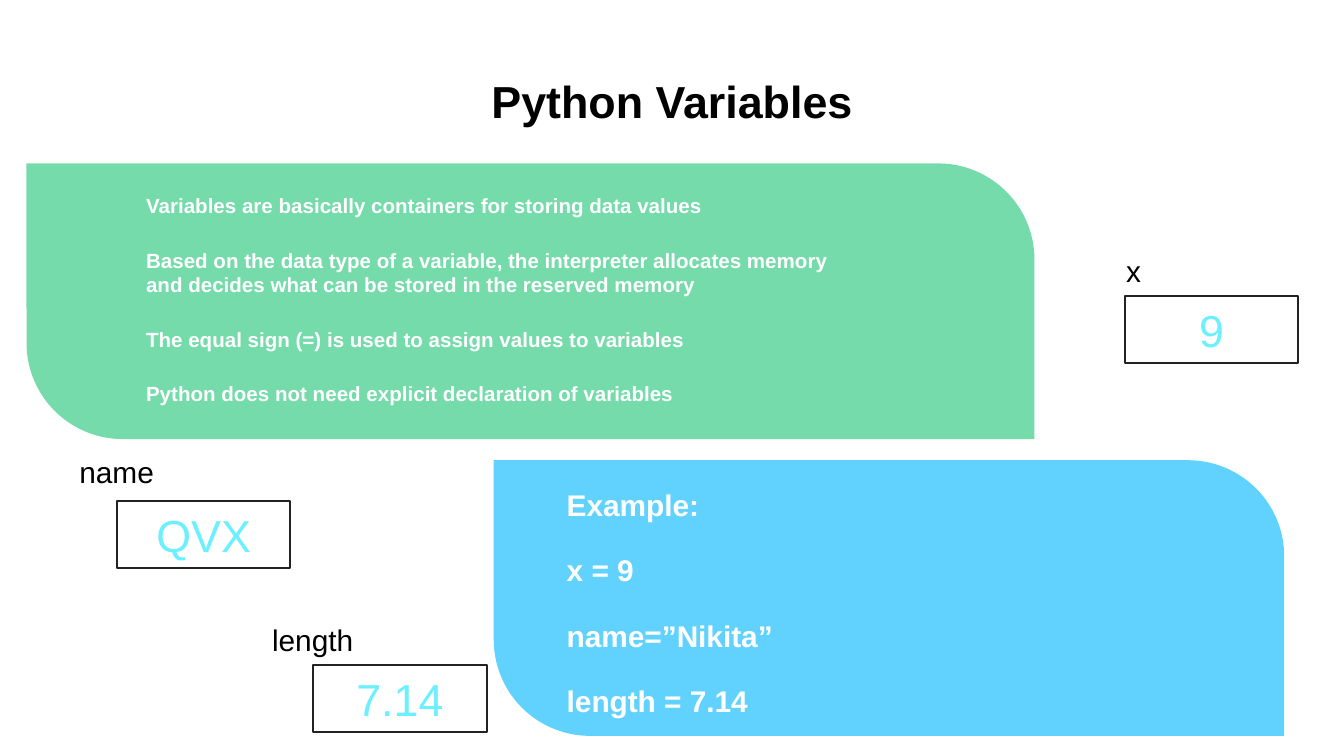
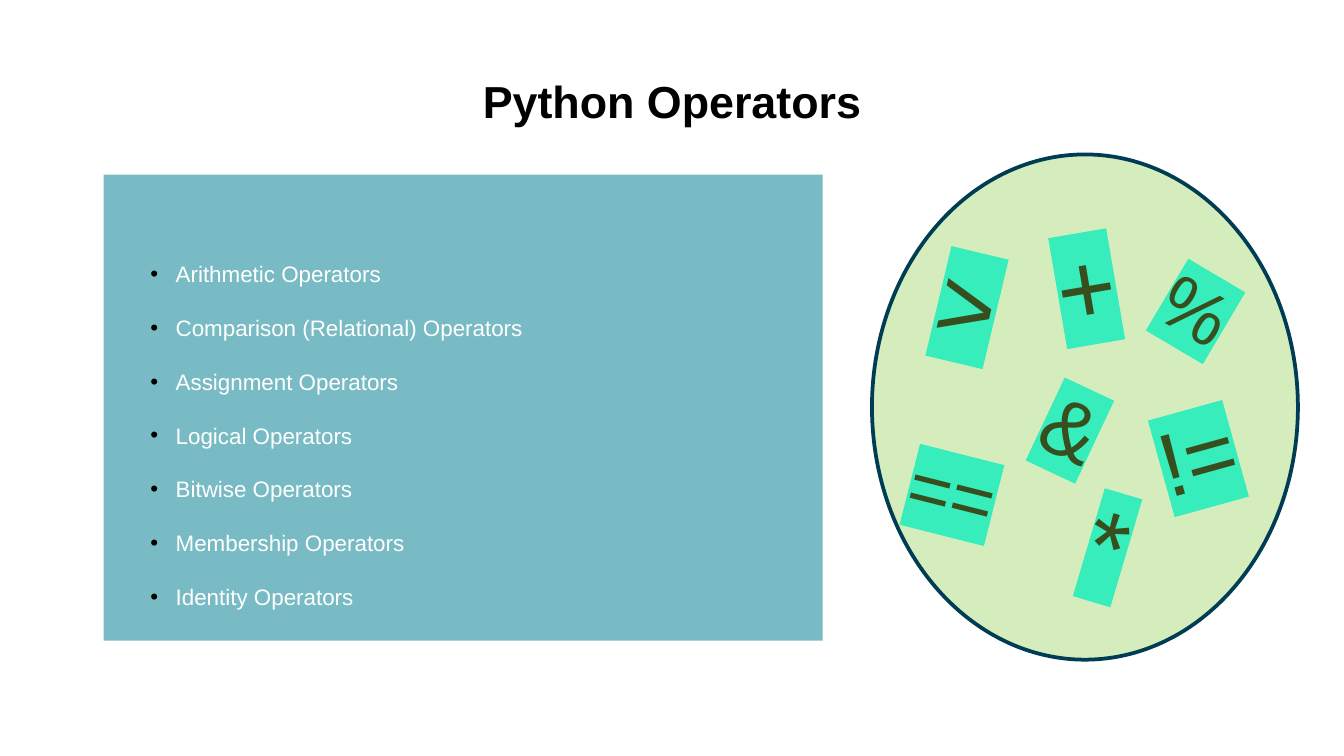
from dataclasses import dataclass

from lxml import etree
from pptx import Presentation
from pptx import util as u
from pptx.dml.color import RGBColor
from pptx.enum import shapes, text
from pptx.oxml import ns


@dataclass(frozen=True)
class Theme:
    font: str = "Arial"
    ink: str = "000000"
    paper: str = "FFFFFF"
    green: str = "76DBAB"
    blue: str = "61D2FE"
    teal: str = "028090"
    lime: str = "92D050"
    navy: str = "003D55"
    frame: str = "222222"
    value: str = "6CEFFF"
    highlight: str = "00FFFF"
    title_size: int = 24
    value_size: int = 24
    label_size: int = 16
    list_size: int = 12


THEME = Theme()

# Places are left, top, width, height in centimetres.
TITLE_PLACE = (1.27, 1.14, 22.86, 1.6)

# Panel place, panel colour, text place, type size, lines
VARIABLE_PANELS = [
    ((0.5, 3.09, 19.05, 5.21), THEME.green, (2.51, 3.4, 13.67, 4.57), 11, [
        "Variables are basically containers for storing data values",
        "Based on the data type of a variable, the interpreter allocates memory "
        "and decides what can be stored in the reserved memory",
        "The equal sign (=) is used to assign values to variables",
        "Python does not need explicit declaration of variables",
    ]),
    ((9.33, 8.7, 14.94, 5.21), THEME.blue, (10.46, 8.94, 13.67, 4.14), 16, [
        "Example:",
        "x = 9",
        "name=”Nikita”",
        "length = 7.14",
    ]),
]

# Name, label place, value, left and top of the value box
VARIABLES = [
    ("length", (4.88, 11.63, 2.06, 0.94), "7.14", (5.92, 12.57)),
    ("x", (21.03, 4.65, 0.79, 0.94), "9", (21.26, 5.59)),
    ("name", (1.24, 8.46, 1.93, 0.94), "QVX", (2.21, 9.47)),
]
VALUE_BOX_SIZE = (3.28, 1.27)

OPERATOR_PANEL = (1.96, 3.3, 13.59, 8.81)
OPERATOR_LIST = (2.59, 6.6, 11.86, 2.74)
OPERATOR_KINDS = [
    "Arithmetic", "Comparison (Relational)", "Assignment", "Logical",
    "Bitwise", "Membership", "Identity",
]

# Symbol, place, rotation in degrees, type size
SYMBOLS = [
    (">", (17.48, 4.45, 1.63, 2.57), 13.4, 54),
    ("+", (19.71, 4.09, 1.63, 2.57), 350.3, 54),
    ("&", (19.48, 7.01, 1.55, 2.13), 25.3, 44),
    ("!=", (21.64, 7.44, 1.98, 2.31), 344.5, 48),
    ("==", (16.92, 8.31, 2.18, 1.96), 14.2, 40),
    ("*", (20.09, 8.99, 1.73, 2.57), 16.5, 54),
    ("%", (21.74, 4.85, 1.78, 1.96), 30.6, 40),
]
SYMBOL_OVAL = (16.48, 2.92, 8.05, 9.55)


def to_cm(place):
    return [u.Cm(value) for value in place]


def add_xml(parent, tag, **attributes):
    return etree.SubElement(parent, ns.qn(tag), attributes)


def add_span(para, words, size, color, bold=False):
    span = para.add_run()
    span.text = words
    span.font.name = THEME.font
    span.font.size = u.Pt(size)
    span.font.bold = bold
    span.font.color.rgb = RGBColor.from_string(color)
    return span


def add_figure(page, preset, place, fill=None, opacity=100, line=None, width=1):
    figure = page.shapes.add_shape(preset, *to_cm(place))
    figure.shadow.inherit = False
    if fill:
        figure.fill.solid()
        figure.fill.fore_color.rgb = RGBColor.from_string(fill)
        if opacity < 100:
            color = figure.element.spPr.find(ns.qn("a:solidFill"))[0]
            add_xml(color, "a:alpha", val=str(opacity * 1000))
    else:
        figure.fill.background()
    if line:
        figure.line.color.rgb = RGBColor.from_string(line)
        figure.line.width = u.Pt(width)
    else:
        figure.line.fill.background()
    return figure


def add_label(page, words, place, size):
    """Add a one-line centred text box; return the box and its run."""
    box = page.shapes.add_textbox(*to_cm(place))
    box.text_frame.word_wrap = False
    para = box.text_frame.paragraphs[0]
    para.alignment = text.PP_ALIGN.CENTER
    return box, add_span(para, words, size, THEME.ink)


def place_holder(holder, place, anchor):
    holder.left, holder.top, holder.width, holder.height = to_cm(place)
    frame = holder.text_frame
    frame.word_wrap = True
    frame.auto_size = text.MSO_AUTO_SIZE.NONE
    frame.vertical_anchor = anchor
    frame.margin_left = frame.margin_right = u.Cm(0.25)
    frame.margin_top = frame.margin_bottom = u.Cm(0.25)
    return frame


def add_page(deck, layout_name, title):
    page = deck.slides.add_slide(deck.slide_layouts.get_by_name(layout_name))
    frame = place_holder(page.shapes.title, TITLE_PLACE, text.MSO_ANCHOR.TOP)
    para = frame.paragraphs[0]
    para.alignment = text.PP_ALIGN.CENTER
    add_span(para, title, THEME.title_size, THEME.ink, bold=True)
    return page


def fill_list(frame, lines, size, bold=False, gap=0, spacing=1.0, bullet=None):
    indent = u.Cm(0.48) if bullet else 0
    for index, line in enumerate(lines):
        para = frame.add_paragraph() if index else frame.paragraphs[0]
        para.alignment = text.PP_ALIGN.LEFT
        para.line_spacing = spacing
        para.space_before = u.Pt(gap if index else 0)
        para.space_after = u.Pt(0)
        props = para._p.get_or_add_pPr()
        props.set("marL", str(indent))
        props.set("indent", str(-indent))
        if bullet:
            add_xml(add_xml(props, "a:buClr"), "a:srgbClr", val=THEME.ink)
            add_xml(props, "a:buFont", typeface=THEME.font)
            add_xml(props, "a:buChar", char=bullet)
        else:
            add_xml(props, "a:buNone")
        add_span(para, line, size, THEME.paper, bold)


def add_diagonal_panel(page, place, fill):
    """Add a panel turned a quarter so that it covers the given place."""
    left, top, width, height = place
    shift = (width - height) / 2
    panel = add_figure(page, shapes.MSO_SHAPE.ROUND_2_DIAG_RECTANGLE,
                       (left + shift, top - shift, height, width), fill)
    panel.rotation = 90
    panel.adjustments[0] = 0.349
    panel.adjustments[1] = 0
    return panel


def build_variables(deck):
    page = add_page(deck, "Two Content", "Python Variables")
    bodies = list(page.placeholders)[1:]
    for body, (place, fill, text_place, size, lines) in zip(bodies, VARIABLE_PANELS):
        panel = add_diagonal_panel(page, place, fill)
        body.element.addprevious(panel.element)
        frame = place_holder(body, text_place, text.MSO_ANCHOR.TOP)
        fill_list(frame, lines, size, bold=True, gap=16)
    for name, label_place, value, corner in VARIABLES:
        box = add_figure(page, shapes.MSO_SHAPE.RECTANGLE,
                         corner + VALUE_BOX_SIZE, line=THEME.frame)
        para = box.text_frame.paragraphs[0]
        para.alignment = text.PP_ALIGN.CENTER
        add_span(para, value, THEME.value_size, THEME.value)
        add_label(page, name, label_place, THEME.label_size)


def build_operators(deck):
    page = add_page(deck, "Title and Content", "Python Operators")
    body = page.placeholders[1]
    panel = add_figure(page, shapes.MSO_SHAPE.RECTANGLE, OPERATOR_PANEL,
                       THEME.teal, opacity=53)
    body.element.addprevious(panel.element)
    frame = place_holder(body, OPERATOR_LIST, text.MSO_ANCHOR.MIDDLE)
    fill_list(frame, [f"{kind} Operators" for kind in OPERATOR_KINDS],
              THEME.list_size, spacing=2.0, bullet="•")
    for symbol, place, rotation, size in SYMBOLS:
        box, span = add_label(page, symbol, place, size)
        box.rotation = rotation
        props = span._r.get_or_add_rPr()
        highlight = add_xml(props, "a:highlight")
        add_xml(highlight, "a:srgbClr", val=THEME.highlight)
        props.find(ns.qn("a:solidFill")).addnext(highlight)
    add_figure(page, shapes.MSO_SHAPE.OVAL, SYMBOL_OVAL, THEME.lime,
               opacity=38, line=THEME.navy, width=2)


def main():
    deck = Presentation()
    deck.slide_width, deck.slide_height = u.Cm(25.4), u.Cm(14.29)
    build_variables(deck)
    build_operators(deck)
    deck.save("out.pptx")


if __name__ == "__main__":
    main()
